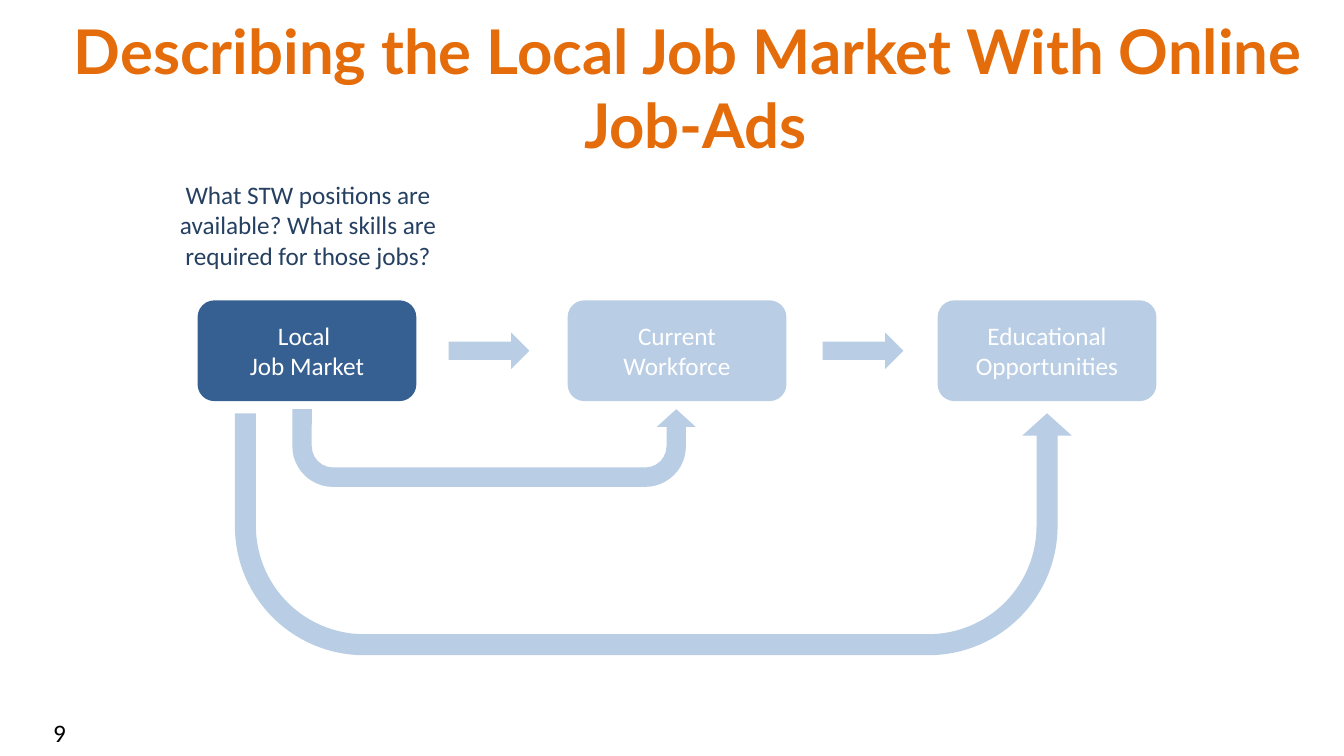
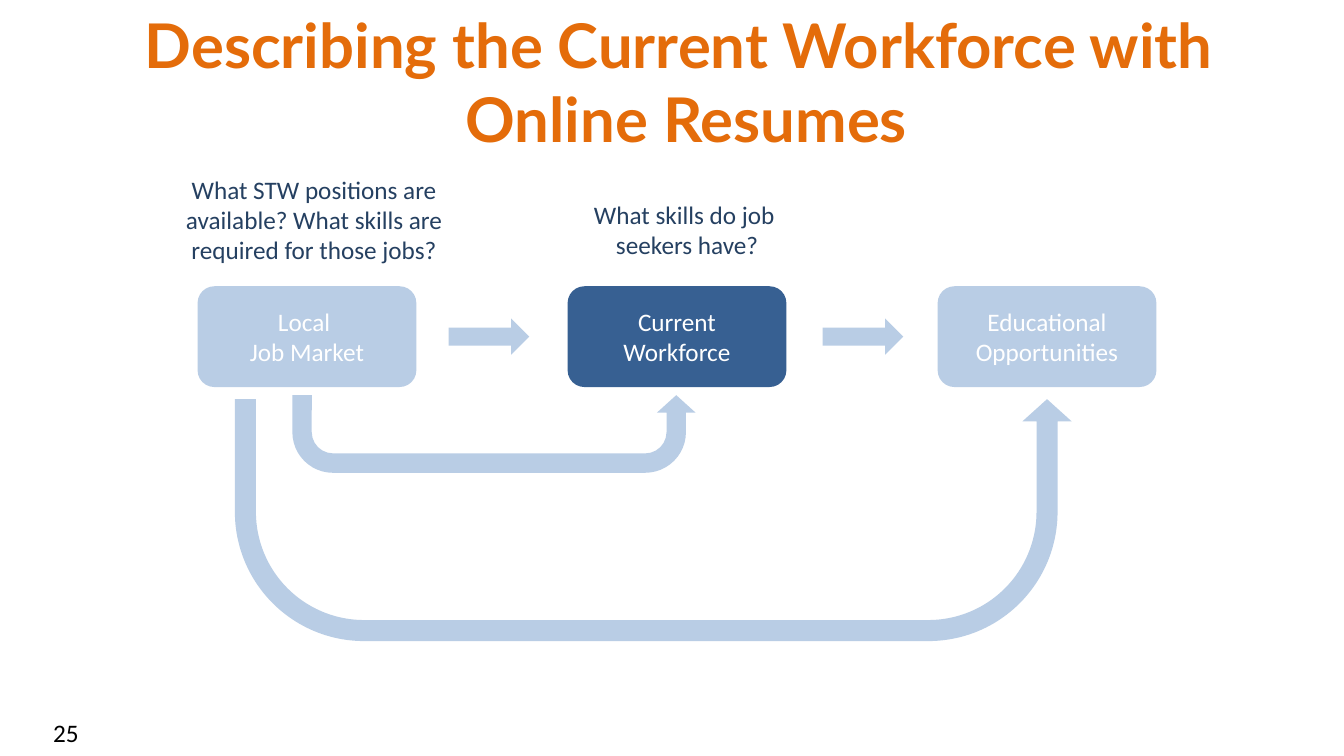
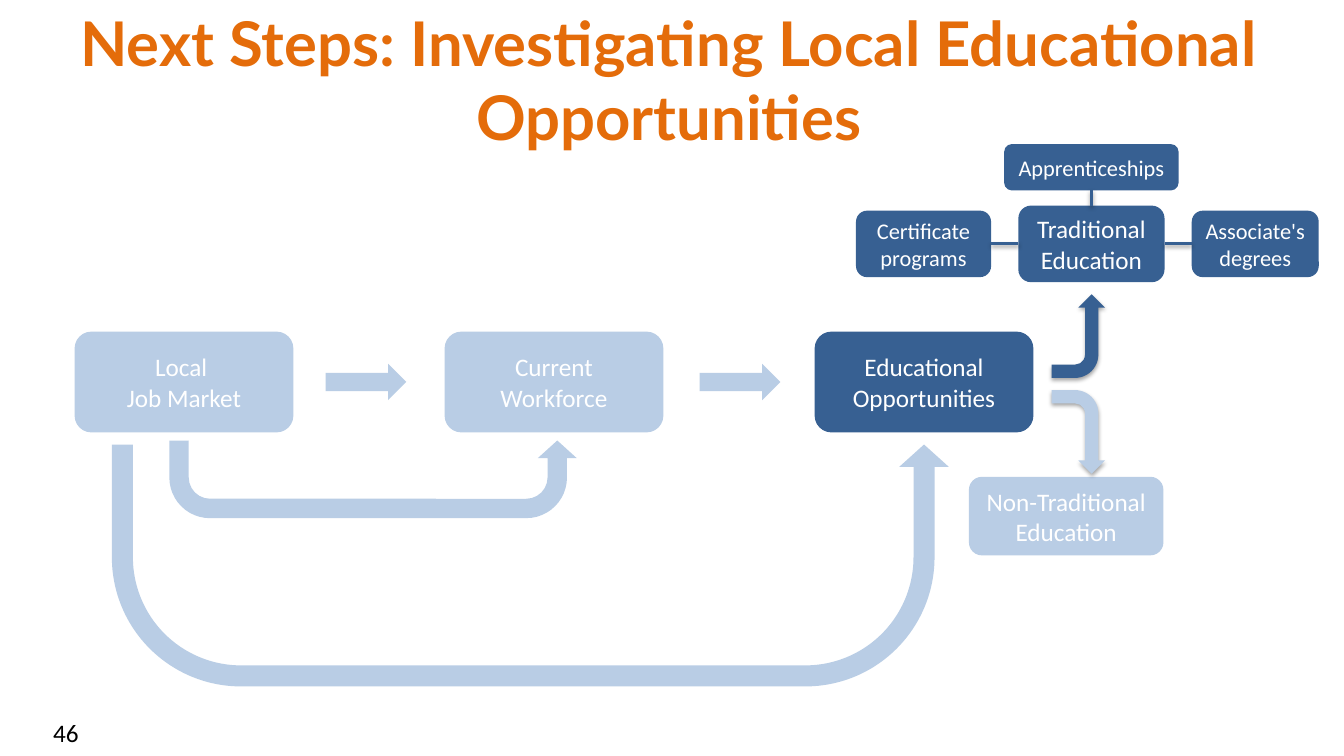
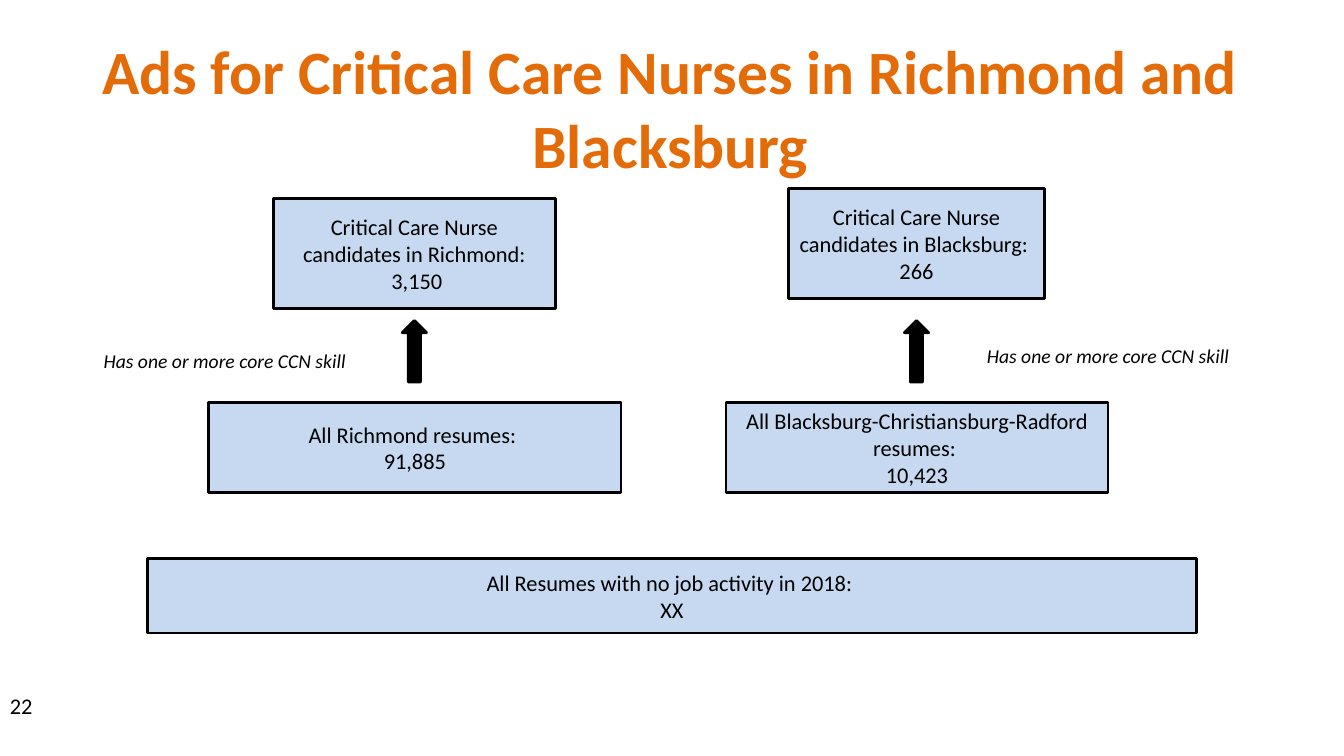
from lxml import etree
from pptx import Presentation
from pptx.dml.color import RGBColor
from pptx.enum import shapes, text
from pptx.oxml.ns import qn
from pptx.util import Inches, Pt

COLORS = {
    "title": "E46C0A", "title_alt": "E36C09", "active": "376092", "muted": "B9CDE5",
    "question": "254061", "count": "C6D9F1", "black": "000000", "white": "FFFFFF",
}
KIND = shapes.MSO_SHAPE
TOP, LEFT, BOTTOM, RIGHT = range(4)

# Process diagram: stage size, distance between stages and their wording
STAGE_W, STAGE_H, STAGE_STEP = 2.17, 1, 3.67
STAGES = [["Local ", "Job Market"], ["Current Workforce"], ["Educational Opportunities"]]


def rgb(name):
    return RGBColor.from_string(COLORS[name])


def inches(box):
    return [Inches(value) for value in box]


def style_run(run, size, color, font="Calibri", bold=False, italic=False):
    run.font.name, run.font.size = font, Pt(size)
    run.font.bold, run.font.italic = bold, italic
    run.font.color.rgb = rgb(color)


def write(frame, lines, size, color, align=text.PP_ALIGN.CENTER, italic=False):
    """Write one paragraph for each line."""
    frame.word_wrap = True
    for index, line in enumerate(lines):
        paragraph = frame.add_paragraph() if index else frame.paragraphs[0]
        paragraph.alignment = align
        run = paragraph.add_run()
        run.text = line
        style_run(run, size, color, italic=italic)


def add_shadow(effects, distance, alpha):
    """Put a soft shadow below the shape into an effect list."""
    shadow = etree.SubElement(
        effects, qn("a:outerShdw"), blurRad=str(Pt(3.1)), dist=str(Pt(distance)),
        dir="5400000", rotWithShape="0")
    black = etree.SubElement(shadow, qn("a:srgbClr"), val=COLORS["black"])
    etree.SubElement(black, qn("a:alpha"), val=str(alpha * 1000))


def add_block(slide, kind, box, fill, lines=(), size=18, color="white",
              outline=None, italic=False):
    block = slide.shapes.add_shape(kind, *inches(box))
    block.shadow.inherit = False
    block.fill.solid()
    block.fill.fore_color.rgb = rgb(fill)
    if outline:
        block.line.color.rgb = rgb(outline)
        block.line.width = Pt(2)
    else:
        block.line.fill.background()
    if lines:
        block.text_frame.vertical_anchor = text.MSO_ANCHOR.MIDDLE
        write(block.text_frame, lines, size, color, italic=italic)
    return block


def add_turned(slide, kind, box, fill, rotation, flip=None, adjust=()):
    arrow = add_block(slide, kind, box, fill)
    arrow.rotation = rotation
    if flip:
        arrow._element.spPr.find(qn("a:xfrm")).set(flip, "1")
    for index, value in enumerate(adjust):
        arrow.adjustments[index] = value
    return arrow


def add_text(slide, box, lines, size, color, align=text.PP_ALIGN.CENTER):
    label = slide.shapes.add_textbox(*inches(box))
    write(label.text_frame, lines, size, color, align)


def add_page(deck, title_box, title_lines, number, number_at=(0.43, 7.07),
             number_size=18, font="Lato", color="title"):
    """Start a slide with its title and page number."""
    slide = deck.slides.add_slide(deck.slide_layouts[5])
    title = slide.shapes.title
    title.left, title.top, title.width, title.height = inches(title_box)
    frame = title.text_frame
    frame.word_wrap = True
    frame.auto_size = text.MSO_AUTO_SIZE.NONE
    frame.vertical_anchor = text.MSO_ANCHOR.TOP
    heading = frame.paragraphs[0]
    heading.alignment = text.PP_ALIGN.CENTER
    for index, line in enumerate(title_lines):
        if index:
            heading.add_line_break()
        run = heading.add_run()
        run.text = line
        style_run(run, 44, color, font, bold=True)
    add_text(slide, (*number_at, 3, 0.4), [number], number_size, "black",
             text.PP_ALIGN.LEFT)
    return slide


def add_process(slide, left, top, active, short_turn=4):
    """Draw the three stages and the arrows that link them."""
    add_turned(slide, KIND.U_TURN_ARROW, (left + 0.94, top + 1.08, short_turn, 0.77),
               "muted", 180, "flipH", (0.25, 0.25, 0.226, 0.524, 1))
    for index, stage in enumerate(STAGES):
        add_block(slide, KIND.ROUNDED_RECTANGLE,
                  (left + index * STAGE_STEP, top, STAGE_W, STAGE_H),
                  "active" if index == active else "muted", stage)
    for offset in (2.49, 6.2):
        add_block(slide, KIND.RIGHT_ARROW, (left + offset, top + 0.32, 0.8, 0.36), "muted")
    add_turned(slide, KIND.U_TURN_ARROW, (left + 0.37, top + 1.12, 8.3, 2.4),
               "muted", 180, "flipH", (0.087, 0.102, 0.092, 0.534, 1))


def add_question(slide, left, top, height, lines):
    add_text(slide, (left, top, 2.89, height), lines, 18, "question")


def add_education(slide, left, top):
    """Branch out from the last stage, whose top right corner is given."""
    def kind_of_education(dx, dy, width, height, name, size=18, fill="active"):
        return add_block(slide, KIND.ROUNDED_RECTANGLE,
                         (left + dx, top + dy, width, height), fill, [name], size)

    traditional = kind_of_education(-0.14, -1.25, 1.45, 0.76, "Traditional Education")
    branches = [
        (RIGHT, LEFT, kind_of_education(1.58, -1.2, 1.26, 0.66, "Associate's degrees", 16)),
        (TOP, BOTTOM, kind_of_education(-0.28, -1.86, 1.73, 0.46, "Apprenticeships", 16)),
        (LEFT, RIGHT, kind_of_education(-1.75, -1.2, 1.34, 0.66, "Certificate programs", 16)),
    ]
    for start, end, branch in branches:
        link = slide.shapes.add_connector(shapes.MSO_CONNECTOR.STRAIGHT, 0, 0, 0, 0)
        link.begin_connect(traditional, start)
        link.end_connect(branch, end)
        link.line.color.rgb = rgb("active")
        link.line.width = Pt(2)
        add_shadow(etree.SubElement(link._element.spPr, qn("a:effectLst")), 1.6, 38)

    kind_of_education(-0.63, 1.44, 1.93, 0.78, "Non-Traditional Education", fill="muted")
    for dy, fill, rotation, flip in ((-0.22, "active", 270, "flipV"),
                                     (0.73, "muted", 90, None)):
        bend = add_turned(slide, KIND.BENT_ARROW, (left + 0.04, top + dy, 0.83, 0.53),
                          fill, rotation, flip)
        add_shadow(bend._element.spPr.find(qn("a:effectLst")), 1.8, 35)


def add_count(slide, box, lines):
    add_block(slide, KIND.RECTANGLE, box, "count", lines, 16, "black", "black")


def add_region(slide, resumes_box, resumes, nurses_box, nurses, arrow_left, skill_box, skill):
    """Show how a region's resumes narrow down to nurse candidates."""
    add_count(slide, resumes_box, resumes)
    add_count(slide, nurses_box, nurses)
    add_block(slide, KIND.UP_ARROW, (arrow_left, 3.18, 0.24, 0.61), "black", outline="black")
    add_block(slide, KIND.RECTANGLE, skill_box, "white", [skill], 14, "black", italic=True)


def main():
    deck = Presentation()
    deck.slide_width, deck.slide_height = Inches(13.33), Inches(7.5)
    positions = ["What STW positions are",
                 "available? What skills are required for those jobs?"]

    # Local job market
    market = add_page(deck, (0.47, 0.08, 12.86, 1.25),
                      ["Describing the Local Job Market With Online ", "Job-Ads"], "9")
    add_process(market, 1.96, 2.98, active=0)
    add_question(market, 1.61, 1.73, 1.01, positions)

    # Current workforce
    workforce = add_page(deck, (0.81, 0.02, 12, 1.25),
                         ["Describing the Current Workforce with ", "Online Resumes"], "25")
    add_process(workforce, 1.96, 2.84, active=1)
    add_question(workforce, 1.67, 1.68, 1.01, positions)
    add_question(workforce, 5.37, 1.93, 0.71, ["What skills do job ", "seekers have?"])

    # Educational opportunities
    education = add_page(deck, (0, 0, 13.27, 1.25),
                         ["Next Steps: Investigating Local Educational Opportunities"], "46")
    add_process(education, 0.74, 3.29, active=2, short_turn=4.04)
    add_education(education, 10.24, 3.29)

    # Nurse candidates in two regions
    nurses = add_page(deck, (0.65, 0.28, 12, 1.25),
                      ["Ads for Critical Care Nurses in Richmond and Blacksburg"], "22",
                      (0, 6.82), 16, "Calibri", "title_alt")
    add_region(nurses, (2.07, 3.99, 4.09, 0.9), ["All Richmond resumes: ", "91,885"],
               (2.71, 1.97, 2.8, 1.09),
               ["Critical Care Nurse candidates in Richmond:", " 3,150"],
               3.99, (0.85, 3.41, 2.76, 0.34), "Has one or more core CCN skill")
    add_region(nurses, (7.2, 3.99, 3.79, 0.9),
               ["All Blacksburg-Christiansburg-Radford resumes: ", "10,423"],
               (7.82, 1.87, 2.54, 1.09),
               ["Critical Care Nurse candidates in Blacksburg: ", "266"],
               8.97, (9.44, 3.3, 3.1, 0.45), "Has one or more core CCN skill")
    add_count(nurses, (1.46, 5.54, 10.41, 0.74),
              ["All Resumes with no job activity in 2018: ", "XX"])

    deck.save("out.pptx")


if __name__ == "__main__":
    main()
